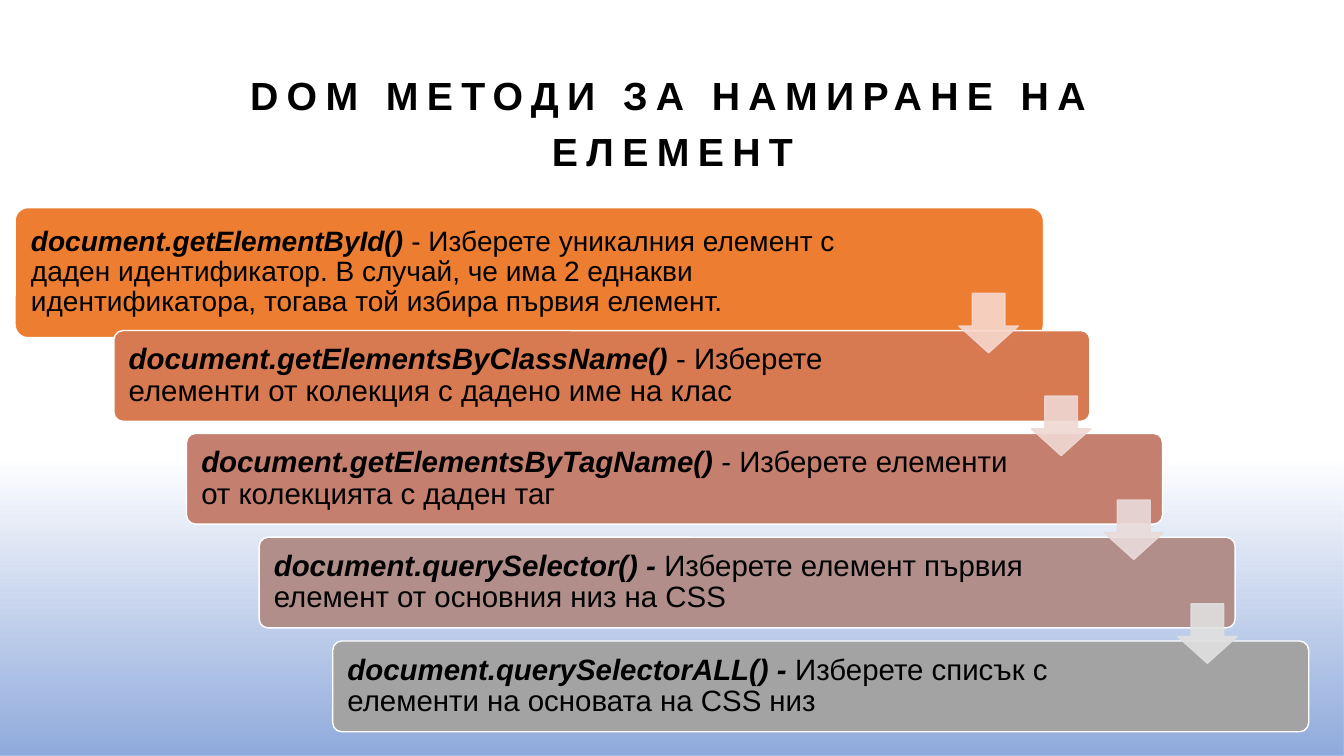
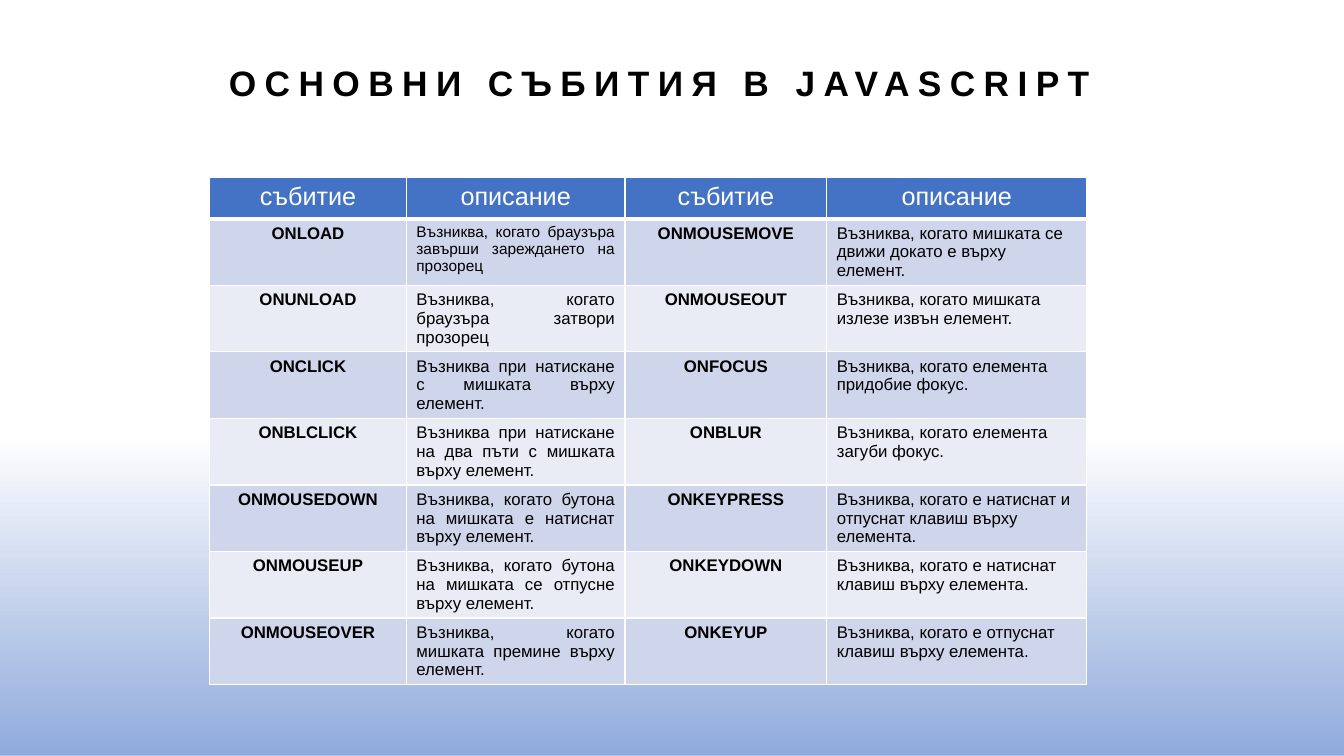
from lxml.etree import SubElement
from pptx import Presentation
from pptx.dml.color import RGBColor
from pptx.enum.shapes import MSO_SHAPE as Shape
from pptx.enum.text import MSO_ANCHOR as Anchor, MSO_AUTO_SIZE as AutoSize, PP_ALIGN as Align
from pptx.oxml.ns import qn
from pptx.util import Pt

SCALE = 9144
WIDTH, HEIGHT = 1333, 750
FONT = "Arial"
BLACK, WHITE = "000000", "FFFFFF"
BAND_BLUE, HEADER_BLUE = "8FAADC", "4472C4"
ROW_FILLS = ("CFD5EA", "E9EBF5")

METHODS = [
    ("document.getElementById() ", "- Изберете уникалния елемент с даден идентификатор. "
     "В случай, че има 2 еднакви идентификатора, тогава той избира първия елемент.", "ED7D31"),
    ("document.getElementsByClassName() ",
     "- Изберете елементи от колекция с дадено име на клас", "D77951"),
    ("document.getElementsByTagName() ",
     "- Изберете елементи от колекцията с даден таг", "C47F6E"),
    ("document.querySelector() - ",
     "Изберете елемент първия елемент от основния низ на CSS", "B28E8A"),
    ("document.querySelectorALL() - ",
     "Изберете списък с елементи на основата на CSS низ", "A3A3A3"),
]
ARROW_COLORS = ("F8D7CE", "F0D8D3", "E9DBDA", "E0E0E0")

EVENTS = [
    ("събитие", "описание", "събитие", "описание"),
    ("ONLOAD", "Възниква, когато браузъра завърши зареждането на прозорец",
     "ONMOUSEMOVE", "Възниква, когато мишката се движи докато е върху елемент."),
    ("ONUNLOAD", "Възниква, когато браузъра затвори прозорец",
     "ONMOUSEOUT", "Възниква, когато мишката излезе извън елемент."),
    ("ONCLICK", "Възниква при натискане с мишката върху елемент.",
     "ONFOCUS", "Възниква, когато елемента придобие фокус."),
    ("ONBLCLICK", "Възниква при натискане на два пъти с мишката върху елемент.",
     "ONBLUR", "Възниква, когато елемента загуби фокус."),
    ("ONMOUSEDOWN", "Възниква, когато бутона на мишката е натиснат върху елемент.",
     "ONKEYPRESS", "Възниква, когато е натиснат и отпуснат клавиш върху елемента."),
    ("ONMOUSEUP", "Възниква, когато бутона на мишката се отпусне върху елемент.",
     "ONKEYDOWN", "Възниква, когато е натиснат клавиш върху елемента."),
    ("ONMOUSEOVER", "Възниква, когато мишката премине върху елемент.",
     "ONKEYUP", "Възниква, когато е отпуснат клавиш върху елемента."),
]
COLUMN_WIDTHS = (195, 217, 200, 258)
COLUMN_ALIGNS = (Align.CENTER, Align.JUSTIFY, Align.CENTER, Align.LEFT)
ROW_HEIGHT = 41


def px(value):
    return value * SCALE


def color(value):
    return RGBColor.from_string(value)


def set_alpha(tint, percent):
    SubElement(tint, qn("a:alpha"), val=str(percent * 1000))


def add_span(para, text, size, ink=BLACK, bold=False, italic=False, spacing=0):
    span = para.add_run()
    span.text = text
    font = span.font
    font.name, font.size, font.bold, font.italic = FONT, Pt(size), bold, italic
    font.color.rgb = color(ink)
    if spacing:
        span.font._element.set("spc", str(spacing * 100))


def add_box(shapes, kind, box, fill=None, line=None):
    shape = shapes.add_shape(kind, *map(px, box))
    shape.shadow.inherit = False
    if fill:
        shape.fill.solid()
        shape.fill.fore_color.rgb = color(fill)
    if line:
        shape.line.color.rgb = color(line)
        shape.line.width = Pt(1)
    else:
        shape.line.fill.background()
    return shape


def add_band(page, box):
    band = add_box(page.shapes, Shape.RECTANGLE, box)
    band.fill.gradient()
    band.fill.gradient_angle = 270
    for stop, position in zip(band.fill.gradient_stops, (0.14, 1)):
        stop.position = position
        stop.color.rgb = color(BAND_BLUE)
    set_alpha(next(band.element.iter(qn("a:srgbClr"))), 0)


def add_page(deck, title, box, band_top, size, align):
    page = deck.slides.add_slide(deck.slide_layouts[5])
    add_band(page, (0, band_top, WIDTH, HEIGHT - band_top))
    holder = page.shapes.title
    holder.left, holder.top, holder.width, holder.height = map(px, box)
    frame = holder.text_frame
    frame.word_wrap, frame.auto_size = True, AutoSize.NONE
    frame.vertical_anchor = Anchor.BOTTOM
    para = frame.paragraphs[0]
    para.alignment, para.line_spacing = align, 1.2
    add_span(para, title, size, bold=True, spacing=6)
    return page


def add_method(shapes, box, method, size, right_margin):
    name, description, fill = method
    step = add_box(shapes, Shape.ROUNDED_RECTANGLE, box, fill, WHITE)
    step.adjustments[0] = 0.1
    frame = step.text_frame
    frame.word_wrap, frame.vertical_anchor = True, Anchor.MIDDLE
    frame.margin_left, frame.margin_right = px(12), px(right_margin)
    para = frame.paragraphs[0]
    para.alignment, para.line_spacing = Align.LEFT, 0.9
    add_span(para, name, size, bold=True, italic=True)
    add_span(para, description, size)


def add_arrow(shapes, box, fill):
    arrow = add_box(shapes, Shape.DOWN_ARROW, box, fill, fill)
    arrow.adjustments[0], arrow.adjustments[1] = 0.55, 0.45
    for tint in list(arrow.element.iter(qn("a:srgbClr"))):
        set_alpha(tint, 90)


def add_staircase(page, left, top):
    shapes = page.shapes.add_group_shape().shapes
    offsets = [(217 * i // 3, 308 * i // 3) for i in range(len(ARROW_COLORS))]
    add_method(shapes, (left, top, 1020, 129), METHODS[0], 20, 130)
    for (across, down), method in zip(offsets, METHODS[1:]):
        add_method(shapes, (left + 98 + across, top + 122 + down, 968, 90), method, 21, 150)
    for (across, down), fill in zip(offsets, ARROW_COLORS):
        add_arrow(shapes, (left + 936 + across, top + 85 + down, 59, 59), fill)


def add_border(cell, side, width):
    line = SubElement(cell._tc.get_or_add_tcPr(), qn(f"a:ln{side}"), w=str(Pt(width)))
    SubElement(SubElement(line, qn("a:solidFill")), qn("a:srgbClr"), val=WHITE)


def fill_cell(cell, text, row, column):
    header = row == 0
    for side in "LRTB":
        add_border(cell, side, 3 if header and side == "B" else 1)
    cell.fill.solid()
    cell.fill.fore_color.rgb = color(HEADER_BLUE if header else ROW_FILLS[(row - 1) % 2])
    para = cell.text_frame.paragraphs[0]
    para.alignment = Align.CENTER if header else COLUMN_ALIGNS[column]
    if header:
        add_span(para, text, 18, ink=WHITE)
    else:
        size = 11 if (row, column) == (1, 1) else 12
        add_span(para, text, size, bold=column % 2 == 0)


def add_events_table(page, left, top):
    box = (left, top, sum(COLUMN_WIDTHS), ROW_HEIGHT * len(EVENTS))
    table = page.shapes.add_table(len(EVENTS), len(COLUMN_WIDTHS), *map(px, box)).table
    for column, width in zip(table.columns, COLUMN_WIDTHS):
        column.width = px(width)
    for row, texts in enumerate(EVENTS):
        for column, text in enumerate(texts):
            fill_cell(table.cell(row, column), text, row, column)


def main():
    deck = Presentation()
    deck.slide_width, deck.slide_height = px(WIDTH), px(HEIGHT)
    page = add_page(deck, "DOM МЕТОДИ ЗА НАМИРАНЕ НА ЕЛЕМЕНТ",
                    (167, 83, 1000, 95), 409, 28, Align.CENTER)
    add_staircase(page, 15, 206)
    page = add_page(deck, "ОСНОВНИ СЪБИТИЯ В JAVASCRIPT",
                    (217, 50, 895, 58), 384, 25.2, Align.LEFT)
    add_events_table(page, 208, 176)
    deck.save("out.pptx")


if __name__ == "__main__":
    main()
